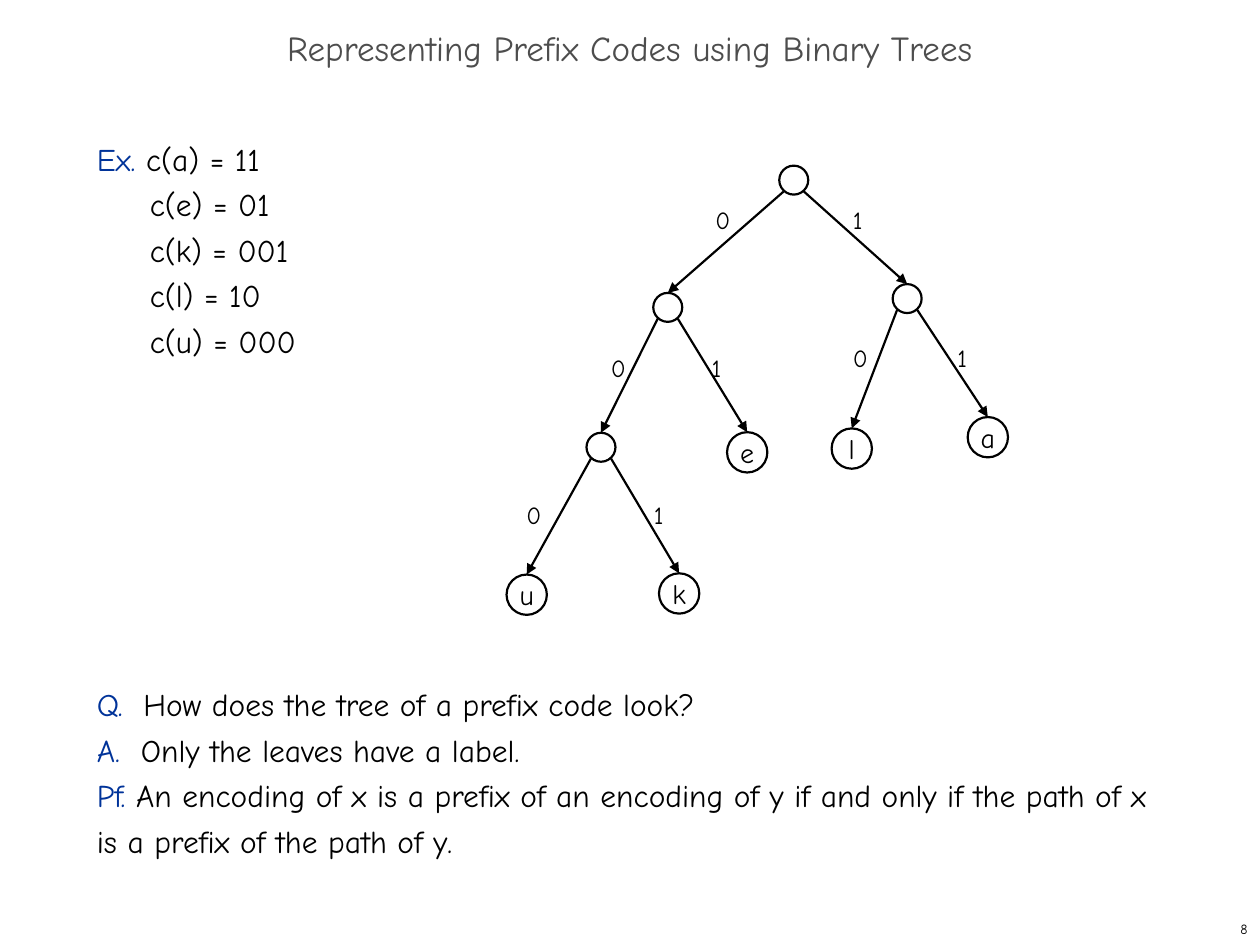
from dataclasses import dataclass

from pptx import Presentation
from pptx.dml.color import RGBColor
from pptx.enum.shapes import MSO_CONNECTOR as CONNECTOR, MSO_SHAPE as SHAPE
from pptx.enum.text import MSO_ANCHOR as ANCHOR, PP_ALIGN as ALIGN
from pptx.oxml.ns import qn
from pptx.slide import Slide
from pptx.util import Inches, Pt
from lxml.etree import SubElement

TREE = {
    "": (6.3, 1.43), "0": (5.3, 2.44), "1": (7.2, 2.37),
    "00": (4.77, 3.55), "01": (5.93, 3.59), "10": (6.76, 3.56), "11": (7.84, 3.47),
    "000": (4.18, 4.72), "001": (5.39, 4.71),
}
LEAVES = {"11": "a", "01": "e", "001": "k", "10": "l", "000": "u"}
BIT_LABELS = {
    "0": (5.58, 1.58), "1": (6.67, 1.58),
    "00": (4.75, 2.75), "01": (5.55, 2.75), "10": (6.67, 2.67), "11": (7.5, 2.67),
    "000": (4.08, 3.92), "001": (5.09, 3.92),
}
CODE_INDENT = 0.42
ANSWERS = [
    ("Q.", "\tHow does the tree of a prefix code look?", 0.37),
    ("A.", "\tOnly the leaves have a label.", 0.35),
    ("Pf.", " An encoding of x is a prefix of an encoding of y if and only if "
            "the path of x is a prefix of the path of y.", 0),
]


def color(value):
    """Turn a hex string into a colour."""
    return RGBColor.from_string(value)


@dataclass
class TreeSlide:
    """Hold the style and the slide, and draw each kind of element."""
    slide: Slide
    font: str = "Comic Neue"
    ink: str = "000000"
    accent: str = "003399"
    gray: str = "4D4D4D"
    line_width: float = 1.25
    node_size: float = 0.23
    leaf_size: float = 0.32

    def format(self, paragraph, size, ink=None, align=ALIGN.LEFT):
        """Set the font and alignment of a paragraph."""
        paragraph.alignment = align
        paragraph.font.name = self.font
        paragraph.font.size = Pt(size)
        paragraph.font.color.rgb = color(ink or self.ink)

    def title(self, text):
        """Fill and place the title placeholder."""
        title = self.slide.shapes.title
        title.left, title.top = Inches(0), Inches(0.17)
        title.width, title.height = Inches(10), Inches(0.5)
        title.text_frame.text = text
        title.text_frame.vertical_anchor = ANCHOR.MIDDLE
        paragraph = title.text_frame.paragraphs[0]
        paragraph.line_spacing = 0.7
        self.format(paragraph, 20, self.gray, ALIGN.CENTER)

    def label(self, text, left, top, width, height, size, align=ALIGN.LEFT, anchor=ANCHOR.TOP):
        """Add a one-line text box."""
        box = self.slide.shapes.add_textbox(*map(Inches, (left, top, width, height)))
        frame = box.text_frame
        frame.word_wrap = False
        frame.vertical_anchor = anchor
        frame.text = text
        self.format(frame.paragraphs[0], size, align=align)

    def body(self, top, height, lines):
        """Add a text box of (lead, text, indent) lines with coloured leads."""
        box = self.slide.shapes.add_textbox(*map(Inches, (0.67, top, 8.58, height)))
        frame = box.text_frame
        frame.word_wrap = True
        for index, (lead, text, indent) in enumerate(lines):
            paragraph = frame.add_paragraph() if index else frame.paragraphs[0]
            paragraph.line_spacing = Pt(26)
            self.format(paragraph, 18)
            properties = paragraph._p.get_or_add_pPr()
            properties.set("marL", str(Inches(indent)))
            properties.set("indent", str(-Inches(indent) if lead else 0))
            if lead:
                run = paragraph.add_run()
                run.text = lead
                run.font.color.rgb = color(self.accent)
            paragraph.add_run().text = text

    def size(self, code):
        """Give the diameter of the node with this code."""
        return self.leaf_size if code in LEAVES else self.node_size

    def node(self, code):
        """Add the circle of a node, with its letter if it is a leaf."""
        x, y = TREE[code]
        size = self.size(code)
        circle = self.slide.shapes.add_shape(
            SHAPE.OVAL, *map(Inches, (x - size / 2, y - size / 2, size, size)))
        circle.shadow.inherit = False
        circle.fill.background()
        circle.line.color.rgb = color(self.ink)
        circle.line.width = Pt(self.line_width)
        if code in LEAVES:
            frame = circle.text_frame
            frame.word_wrap = False
            frame.vertical_anchor = ANCHOR.MIDDLE
            frame.text = LEAVES[code]
            self.format(frame.paragraphs[0], 16, align=ALIGN.CENTER)

    def edge(self, code):
        """Add the arrow from the parent of a node, with its bit."""
        parent_x, parent_y = TREE[code[:-1]]
        x, y = TREE[code]
        side = -0.08 if code[-1] == "0" else 0.08
        arrow = self.slide.shapes.add_connector(CONNECTOR.STRAIGHT, *map(Inches, (
            parent_x + side, parent_y + 0.09, x, y - self.size(code) / 2)))
        arrow.line.color.rgb = color(self.ink)
        arrow.line.width = Pt(self.line_width)
        SubElement(arrow.line._get_or_add_ln(), qn("a:tailEnd"), type="triangle")
        SubElement(arrow._element.spPr, qn("a:effectLst"))
        width = 0.32 if code[-1] == "0" else 0.28
        self.label(code[-1], *BIT_LABELS[code], width, 0.33, 14)


def main():
    """Build and save the slide."""
    presentation = Presentation()
    presentation.slide_width, presentation.slide_height = Inches(10), Inches(7.5)
    page = TreeSlide(presentation.slides.add_slide(presentation.slide_layouts[5]))
    page.title("Representing Prefix Codes using Binary Trees")
    codes = [(f"c({letter}) = {code}", CODE_INDENT) for code, letter in LEAVES.items()]
    first, *others = codes
    page.body(1, 2, [("Ex.", f" {first[0]}", 0)] + [("", *line) for line in others])
    page.body(5.33, 1.6, ANSWERS)
    for code in TREE:
        page.node(code)
    for code in BIT_LABELS:
        page.edge(code)
    page.label("8", 7.92, 7.25, 2.08, 0.25, 8, ALIGN.RIGHT, ANCHOR.MIDDLE)
    presentation.save("out.pptx")


if __name__ == "__main__":
    main()
